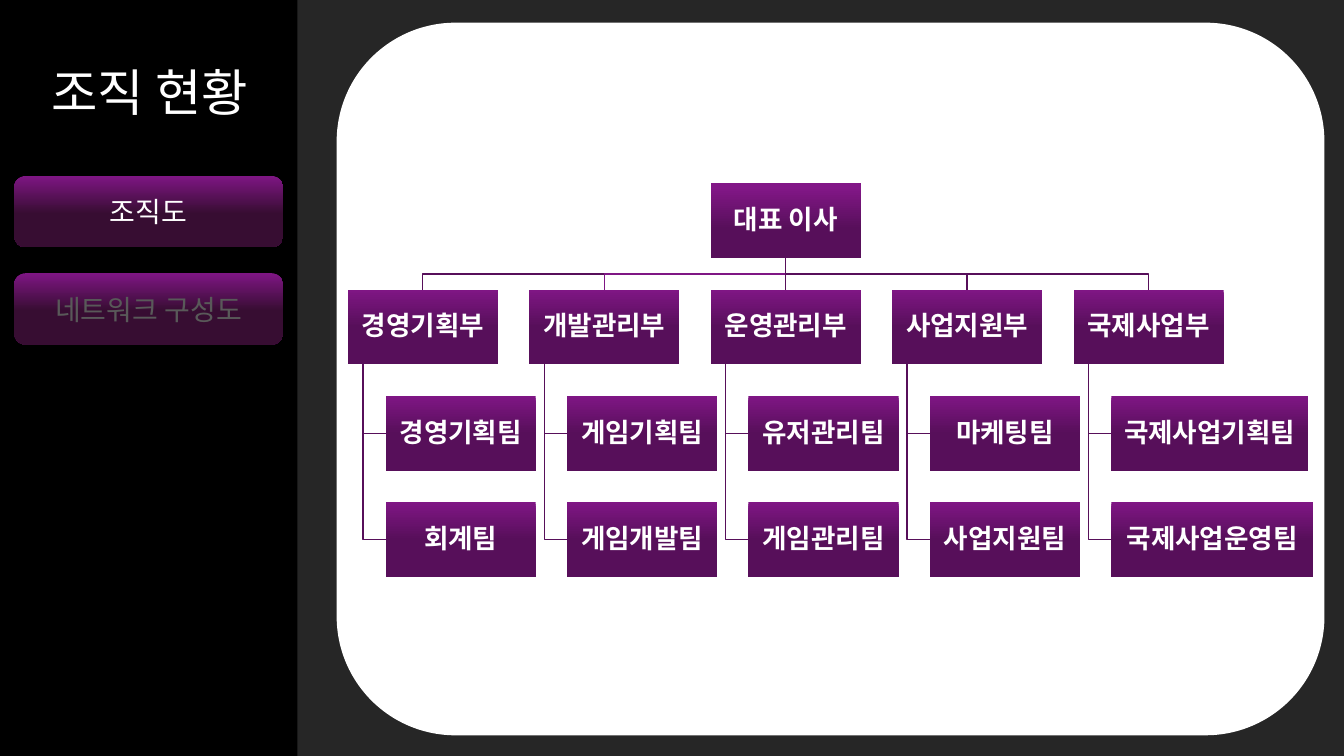
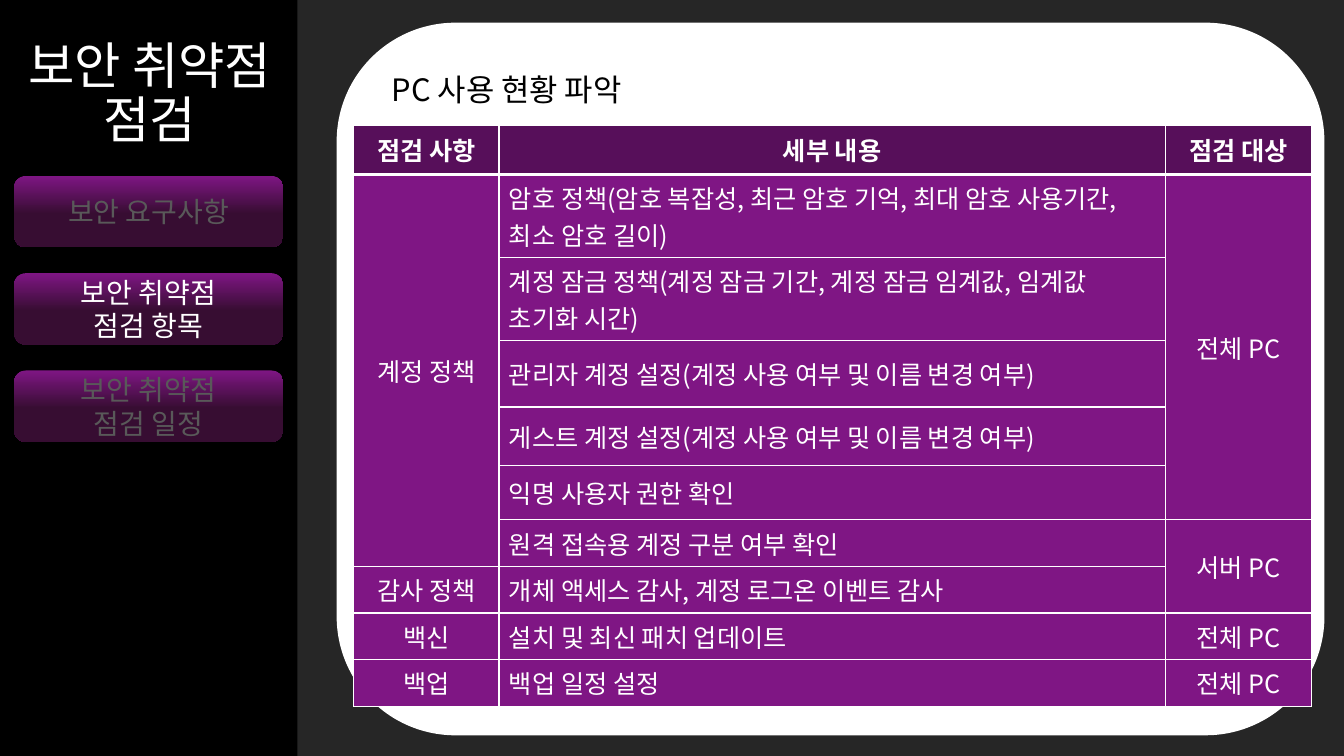
import lxml.etree
import pptx
import pptx.dml.color
import pptx.enum.shapes
import pptx.enum.text
import pptx.oxml.ns
import pptx.util

Pt = pptx.util.Pt
RGB = pptx.dml.color.RGBColor.from_string
qn = pptx.oxml.ns.qn
SHAPE = pptx.enum.shapes.MSO_SHAPE
MIDDLE = pptx.enum.text.MSO_ANCHOR.MIDDLE
CENTER = pptx.enum.text.PP_ALIGN.CENTER
LEFT = pptx.enum.text.PP_ALIGN.LEFT

# Theme: colours, gradients (two stops each) and type
THEME = {
    "font": "Noto Sans CJK KR",
    "back": "262626", "side": "000000", "panel": "FFFFFF",
    "light": "FFFFFF", "dim": "595959", "ink": "000000",
    "purple": "7F1684", "plum": "570F5A",
    "menu": ((0, "7F1684"), (0.53, "370D32")),
    "chief": ((0.05, "821787"), (0.61, "570F5A")),
    "unit": ((0, "7F1684"), (0.5, "570F5A")),
}
# Type styles: font attributes, then paragraph attributes
TYPE = {
    "title": ({"size": Pt(36)}, {"alignment": CENTER, "line_spacing": 0.9}),
    "menu": ({"size": Pt(20)}, {"alignment": CENTER}),
    "unit": ({"size": Pt(19), "bold": True}, {"alignment": CENTER, "line_spacing": 0.9}),
    "head": ({"size": Pt(18), "bold": True}, {"alignment": CENTER}),
    "label": ({"size": Pt(18), "bold": False}, {"alignment": CENTER}),
    "detail": ({"size": Pt(18), "bold": False}, {"alignment": LEFT}),
    "caption": ({"size": Pt(22)}, {"alignment": LEFT}),
}

prs = pptx.Presentation()
prs.slide_width, prs.slide_height = 12192000, 6858000
CELL = prs.slide_height / 75  # the slide is a grid of 75 rows of square cells


def write(tf, text, style, color="light"):
    """Fill a text frame, one paragraph per line of text."""
    tf.word_wrap = True
    font, para = TYPE[style]
    for i, line in enumerate(text.split("\n")):
        p = tf.add_paragraph() if i else tf.paragraphs[0]
        r = p.add_run()
        r.text = line
        for target, values in ((p, para), (r.font, font), (r.font, {"name": THEME["font"]})):
            for name, value in values.items():
                setattr(target, name, value)
        r.font.color.rgb = RGB(THEME[color])
        lxml.etree.SubElement(r._r.get_or_add_rPr(), qn("a:ea"), typeface=THEME["font"])


def block(s, kind, grid, fill):
    """Draw a borderless shape at grid cells, with a plain or gradient fill."""
    sp = s.shapes.add_shape(kind, *(round(v * CELL) for v in grid))
    sp.shadow.inherit = False
    sp.line.fill.background()
    sp.text_frame.vertical_anchor = MIDDLE
    paint = THEME[fill]
    if isinstance(paint, str):
        sp.fill.solid()
        sp.fill.fore_color.rgb = RGB(paint)
    else:
        sp.fill.gradient()
        sp.fill.gradient_angle = 270
        for stop, (position, color) in zip(sp.fill.gradient_stops, paint):
            stop.position = position
            stop.color.rgb = RGB(color)
    return sp


# Shared background and title position
bg = prs.slide_master.background.fill
bg.solid()
bg.fore_color.rgb = RGB(THEME["back"])
layout = prs.slide_layouts[5]
title = layout.placeholders[0]
for name, cells in {"left": 0.1, "top": 2.2, "width": 29.5, "height": 14.5}.items():
    setattr(title, name, round(cells * CELL))

# Shared frame: panel, sidebar, title and menu; the number marks the active entry
PAGES = [
    ("조직 현황", 0, ["조직도", "네트워크 구성도"]),
    ("보안 취약점 점검", 1, ["보안 요구사항", "보안 취약점\n점검 항목", "보안 취약점\n점검 일정"]),
]
for heading, active, entries in PAGES:
    s = prs.slides.add_slide(layout)
    title = s.shapes.title
    for kind, grid, fill in (
        (SHAPE.ROUNDED_RECTANGLE, (33.4, 2.25, 98, 70.7), "panel"),
        (SHAPE.RECTANGLE, (0, 0, 29.5, 75), "side"),
    ):
        title.element.addprevious(block(s, kind, grid, fill).element)
    write(title.text_frame, heading, "title")
    title.text_frame.vertical_anchor = MIDDLE
    title.text_frame.auto_size = pptx.enum.text.MSO_AUTO_SIZE.NONE
    for i, entry in enumerate(entries):
        sp = block(s, SHAPE.ROUNDED_RECTANGLE, (1.4, 17.45 + 9.65 * i, 26.7, 7.1), "menu")
        write(sp.text_frame, entry, "menu", "light" if i == active else "dim")

org, audit = prs.slides

# Organisation chart: one column per department, its teams indented below
DEPARTMENTS = [
    ("경영기획부", ("경영기획팀", "회계팀")),
    ("개발관리부", ("게임기획팀", "게임개발팀")),
    ("운영관리부", ("유저관리팀", "게임관리팀")),
    ("사업지원부", ("마케팅팀", "사업지원팀")),
    ("국제사업부", ("국제사업기획팀", "국제사업운영팀")),
]
WIDE = {"국제사업기획팀": 19.5, "국제사업운영팀": 20}
X, Y, COL, ROW = 34.5, 18.2, 18, 10.55
BOX_W, BOX_H, INDENT, SPINE = 14.9, 7.4, 3.75, 1.5
MID = len(DEPARTMENTS) // 2

units = [("대표 이사", X + MID * COL, 0, "chief")]
chief_x, chief_bottom = X + MID * COL + BOX_W / 2, Y + BOX_H
paths = []
for i, (department, teams) in enumerate(DEPARTMENTS):
    x = X + i * COL
    top = Y + ROW
    units.append((department, x, 1, "unit"))
    if i != MID:
        center, bus = x + BOX_W / 2, (chief_bottom + top) / 2
        paths.append(("purple" if i == 1 else "plum",
                      [(chief_x, chief_bottom), (chief_x, bus), (center, bus), (center, top)]))
    for level, team in enumerate(teams, 2):
        units.append((team, x + INDENT, level, "unit"))
        y = Y + level * ROW + BOX_H / 2
        paths.append(("plum", [(x + SPINE, top + BOX_H), (x + SPINE, y), (x + INDENT, y)]))

# Bent lines
for color, points in paths:
    start, *rest = [(round(x * CELL), round(y * CELL)) for x, y in points]
    builder = org.shapes.build_freeform(*start)
    builder.add_line_segments(rest, close=False)
    sp = builder.convert_to_shape()
    sp.shadow.inherit = False
    sp.fill.background()
    sp.line.color.rgb = RGB(THEME[color])
    sp.line.width = Pt(1)

# Boxes
boxes = {}
for name, x, level, fill in units:
    sp = block(org, SHAPE.RECTANGLE, (x, Y + level * ROW, WIDE.get(name, BOX_W), BOX_H), fill)
    for side in ("left", "top", "right", "bottom"):
        setattr(sp.text_frame, "margin_" + side, pptx.util.Inches(0.01))
    write(sp.text_frame, name, "unit")
    boxes[name] = sp

# Straight line to the middle department
line = org.shapes.add_connector(pptx.enum.shapes.MSO_CONNECTOR.STRAIGHT, 0, 0, 0, 0)
line.begin_connect(boxes["대표 이사"], 2)
line.end_connect(boxes[DEPARTMENTS[MID][0]], 0)
line.line.color.rgb = RGB(THEME["plum"])
line.line.width = Pt(1)
lxml.etree.SubElement(line.element.spPr, qn("a:effectLst"))

# Audit table: None continues the cell above
ROWS = [
    ("점검 사항", "세부 내용", "점검 대상"),
    ("계정 정책", "암호 정책(암호 복잡성, 최근 암호 기억, 최대 암호 사용기간, 최소 암호 길이)", "전체 PC"),
    (None, "계정 잠금 정책(계정 잠금 기간, 계정 잠금 임계값, 임계값 초기화 시간)", None),
    (None, "관리자 계정 설정(계정 사용 여부 및 이름 변경 여부)", None),
    (None, "게스트 계정 설정(계정 사용 여부 및 이름 변경 여부)", None),
    (None, "익명 사용자 권한 확인", None),
    (None, "원격 접속용 계정 구분 여부 확인", "서버 PC"),
    ("감사 정책", "개체 액세스 감사, 계정 로그온 이벤트 감사", None),
    ("백신", "설치 및 최신 패치 업데이트", "전체 PC"),
    ("백업", "백업 일정 설정", "전체 PC"),
]
COL_CELLS = (14.4, 66.1, 14.5)
ROW_CELLS = (4.9, 7.2, 7.1, 6.6, 5.8, 5.4, 4, 4, 4, 4.4)
grid = (35.1, 12.4, sum(COL_CELLS), sum(ROW_CELLS))
table = audit.shapes.add_table(len(ROWS), len(COL_CELLS), *(round(v * CELL) for v in grid)).table
for column, cells in zip(table.columns, COL_CELLS):
    column.width = round(cells * CELL)
for row, cells in zip(table.rows, ROW_CELLS):
    row.height = round(cells * CELL)

for i, row in enumerate(ROWS):
    for j, text in enumerate(row):
        cell = table.cell(i, j)
        tcPr = cell._tc.get_or_add_tcPr()
        for edge in ("lnL", "lnR", "lnT", "lnB"):
            thick = (i, edge) in ((0, "lnB"), (1, "lnT"))
            ln = lxml.etree.SubElement(tcPr, qn("a:" + edge), w=str(Pt(3 if thick else 1)))
            paint = lxml.etree.SubElement(ln, qn("a:solidFill"))
            lxml.etree.SubElement(paint, qn("a:srgbClr"), val=THEME["light"])
        cell.fill.solid()
        cell.fill.fore_color.rgb = RGB(THEME["purple" if i else "plum"])
        cell.vertical_anchor = MIDDLE
        if text:
            write(cell.text_frame, text, "head" if i == 0 else "detail" if j == 1 else "label")
            last = i
            while last + 1 < len(ROWS) and ROWS[last + 1][j] is None:
                last += 1
            if last > i:
                cell.merge(table.cell(last, j))

# Table caption
sp = audit.shapes.add_textbox(*(round(v * CELL) for v in (37.9, 6.5, 31.7, 4.7)))
sp.fill.solid()
sp.fill.fore_color.rgb = RGB(THEME["panel"])
write(sp.text_frame, "PC 사용 현황 파악", "caption", "ink")

prs.save("out.pptx")
